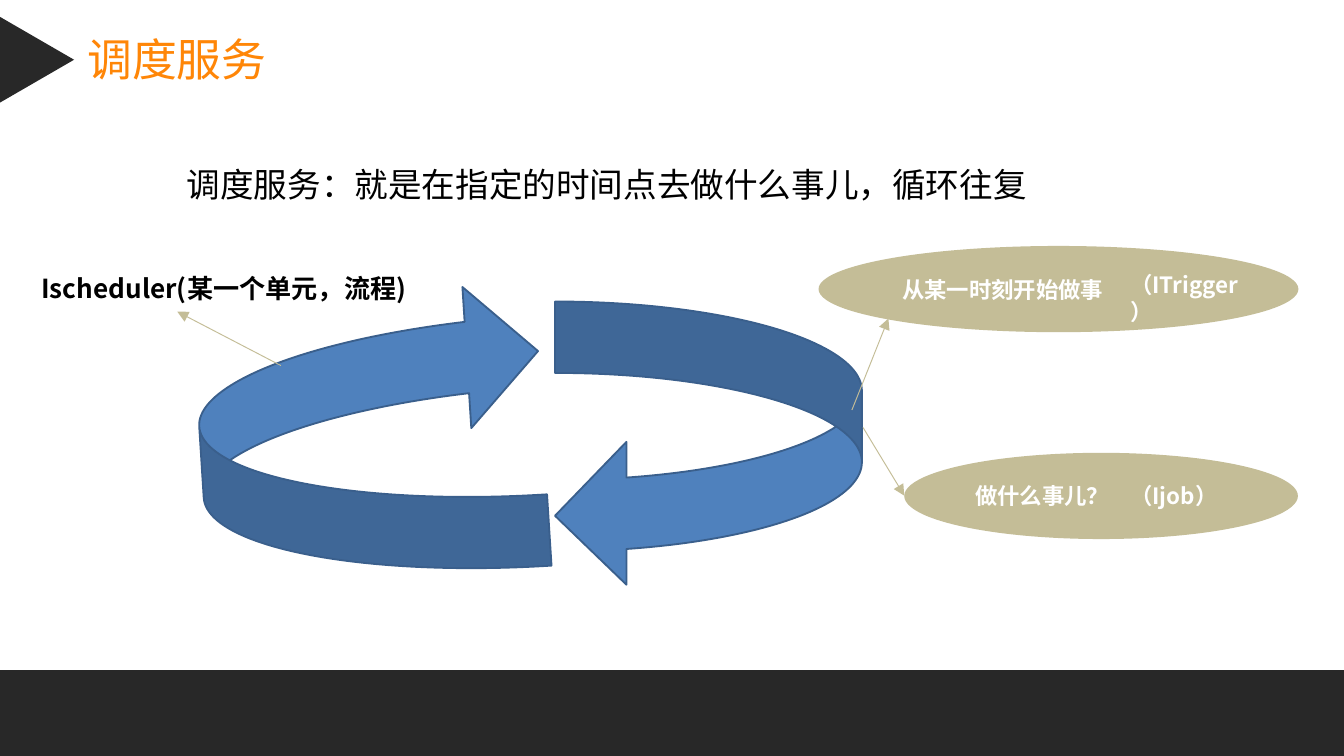
from dataclasses import dataclass

from lxml.etree import SubElement
from pptx import Presentation
from pptx.dml.color import RGBColor
from pptx.enum.shapes import MSO_CONNECTOR, MSO_SHAPE
from pptx.enum.text import MSO_ANCHOR, PP_ALIGN
from pptx.oxml.ns import qn
from pptx.util import Cm, Pt

DARK, ORANGE, BLACK, WHITE = "282828", "FF8607", "000000", "FFFFFF"
BLUE, BLUE_EDGE, SAND = "4F81BD", "3A5F8C", "C4BD97"
BODY_FONT, TITLE_FONT = "Noto Sans CJK SC", "Roboto Condensed"


@dataclass
class Frame:
    """Left, top, width and height in centimetres."""
    left: float
    top: float
    width: float
    height: float

    def lengths(self) -> tuple:
        return Cm(self.left), Cm(self.top), Cm(self.width), Cm(self.height)


@dataclass
class Bubble:
    frame: Frame
    text: str
    tag: str
    tag_top: float


@dataclass
class Pointer:
    start: tuple[float, float]
    end: tuple[float, float]


BUBBLES = [
    Bubble(Frame(15.47, 4.65, 9.07, 1.63), "从某一时刻开始做事", "（ITrigger）", 5.0),
    Bubble(Frame(17.09, 8.56, 7.44, 1.63), "做什么事儿？", "（Ijob）", 8.99),
]
POINTERS = [
    Pointer((16.1, 7.75), (16.79, 6.02)),
    Pointer((16.31, 8.08), (17.09, 9.37)),
    Pointer((5.31, 6.91), (3.35, 5.89)),
]


def colour(value: str) -> RGBColor:
    return RGBColor.from_string(value)


def write_text(text_frame, text: str, *, size: float, color: str,
               font: str = BODY_FONT, bold: bool = False) -> None:
    para = text_frame.paragraphs[0]
    para.alignment = PP_ALIGN.LEFT
    span = para.add_run()
    span.text = text
    span.font.size = Pt(size)
    span.font.bold = bold
    span.font.name = font
    span.font.color.rgb = colour(color)
    SubElement(span.font._element, qn("a:ea")).set("typeface", font)


def add_text(page, frame: Frame, text: str, *, wrap: bool = True, **style) -> None:
    box = page.shapes.add_textbox(*frame.lengths())
    box.text_frame.word_wrap = wrap
    write_text(box.text_frame, text, **style)


def add_figure(page, kind: MSO_SHAPE, frame: Frame, fill: str, *,
               edge: str | None = None, rotation: float = 0):
    figure = page.shapes.add_shape(kind, *frame.lengths())
    figure.shadow.inherit = False
    figure.rotation = rotation
    figure.fill.solid()
    figure.fill.fore_color.rgb = colour(fill)
    if edge:
        figure.line.color.rgb = colour(edge)
        figure.line.width = Pt(1)
    else:
        figure.line.fill.background()
    return figure


def add_bubble(page, bubble: Bubble) -> None:
    ellipse = add_figure(page, MSO_SHAPE.OVAL, bubble.frame, SAND)
    ellipse.text_frame.word_wrap = True
    ellipse.text_frame.vertical_anchor = MSO_ANCHOR.MIDDLE
    style = {"size": 12, "color": WHITE, "bold": True}
    write_text(ellipse.text_frame, bubble.text, **style)
    add_text(page, Frame(21.11, bubble.tag_top, 2.87, 0.76), bubble.tag, **style)


def add_pointer(page, pointer: Pointer) -> None:
    ends = [Cm(value) for value in (*pointer.start, *pointer.end)]
    line = page.shapes.add_connector(MSO_CONNECTOR.STRAIGHT, *ends)
    line.line.color.rgb = colour(SAND)
    line.line.width = Pt(0.5)
    SubElement(line.line._get_or_add_ln(), qn("a:tailEnd")).set("type", "triangle")
    SubElement(line._element.spPr, qn("a:effectLst"))


def main() -> None:
    deck = Presentation()
    deck.slide_width, deck.slide_height = Cm(25.4), Cm(14.29)
    page = deck.slides.add_slide(deck.slide_layouts[6])

    # Footer band and title
    add_figure(page, MSO_SHAPE.RECTANGLE, Frame(0, 12.67, 25.4, 1.62), DARK)
    add_text(page, Frame(1.4, 0.48, 3.94, 1.27), "调度服务", wrap=False,
             size=24, color=ORANGE, font=TITLE_FONT)
    add_figure(page, MSO_SHAPE.ISOSCELES_TRIANGLE, Frame(-0.11, 0.43, 1.62, 1.4),
               DARK, rotation=90)

    # Definition
    add_text(page, Frame(3.28, 2.97, 17.2, 1.02),
             "调度服务：就是在指定的时间点去做什么事儿，循环往复", size=18, color=BLACK)

    # Cycle of two curved arrows
    add_figure(page, MSO_SHAPE.CURVED_LEFT_ARROW, Frame(10.49, 5.7, 5.8, 5.4),
               BLUE, edge=BLUE_EDGE)
    left_arrow = add_figure(page, MSO_SHAPE.CURVED_LEFT_ARROW, Frame(3.78, 5.5, 6.48, 5.4),
                            BLUE, edge=BLUE_EDGE, rotation=176.4)
    left_arrow.adjustments[1] = 0.495

    # Explanations and their pointers
    for bubble in BUBBLES:
        add_bubble(page, bubble)
    add_text(page, Frame(0.53, 5.03, 7.59, 0.86), "Ischeduler(某一个单元，流程)",
             size=14, color=BLACK, bold=True)
    for pointer in POINTERS:
        add_pointer(page, pointer)

    deck.save("out.pptx")


if __name__ == "__main__":
    main()
